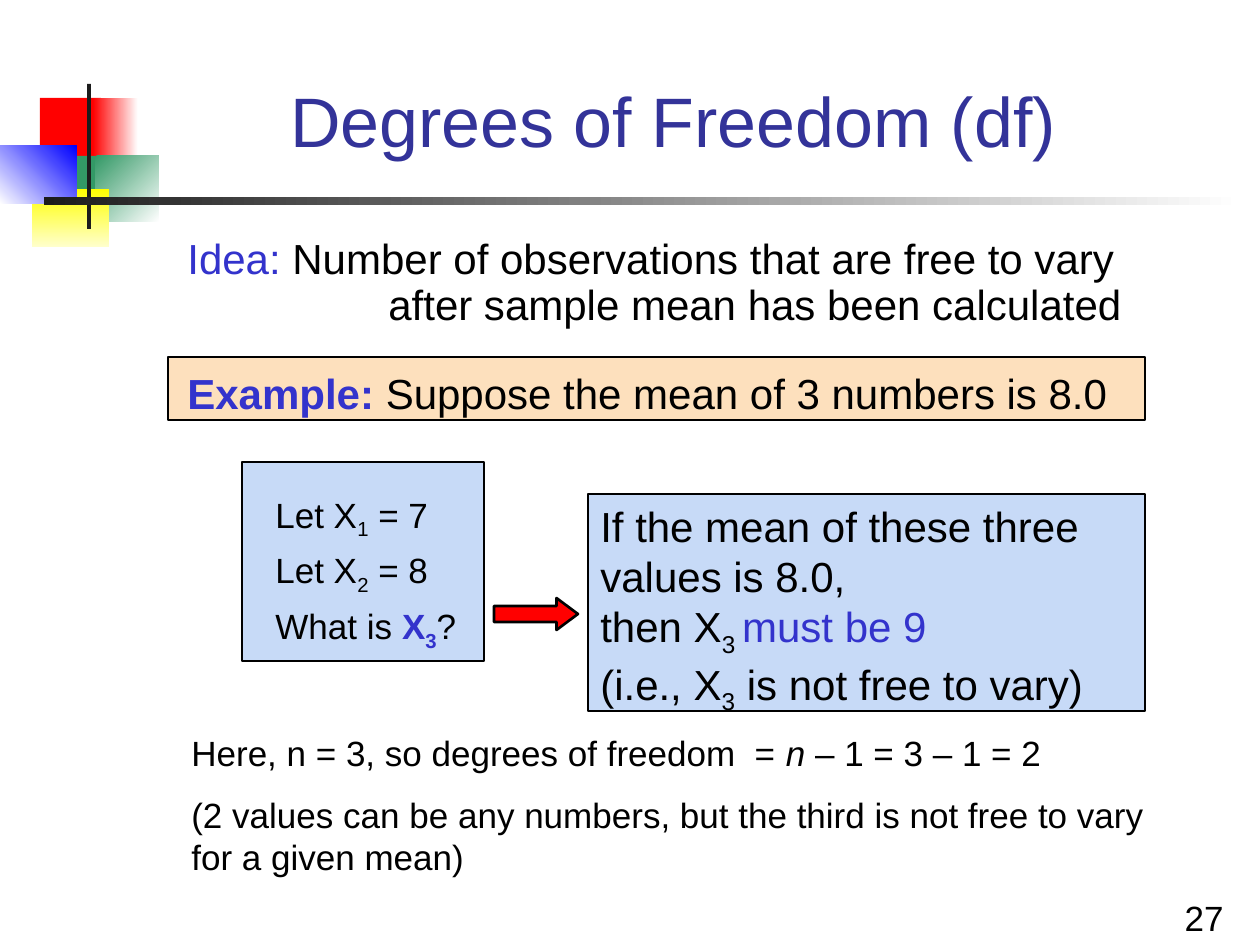
from pptx import Presentation
from pptx import util as u
from pptx.dml.color import RGBColor
from pptx.enum import shapes, text

PX = 914400 / 126
COLORS = {
    "red": "FF0000", "green": "339966", "yellow": "FFFF00", "cream": "FFFFCC",
    "blue": "0000FF", "white": "FFFFFF", "dark": "1C1C1C", "black": "000000",
    "title": "333399", "accent": "3333CC", "panel": "C7DAF7", "peach": "FDE0BD",
}
RGB = {name: RGBColor.from_string(value) for name, value in COLORS.items()}

prs = Presentation()
prs.slide_width, prs.slide_height = round(1260 * PX), round(945 * PX)
s = prs.slides.add_slide(prs.slide_layouts[6])


def add_box(kind, box, fill=None, outlined=False):
    """Add a shape, or a wrapping text box when kind is None."""
    box = [round(v * PX) for v in box]
    if kind is None:
        sp = s.shapes.add_textbox(*box)
    else:
        sp = s.shapes.add_shape(kind, *box)
        sp.shadow.inherit = False
        sp.fill.solid()
        sp.fill.fore_color.rgb = RGB[fill]
        if outlined:
            sp.line.color.rgb = RGB["black"]
            sp.line.width = u.Pt(1.5)
        else:
            sp.line.fill.background()
    sp.text_frame.word_wrap = True
    return sp


def add_text(tf, runs, size, before=0, color="black", align="LEFT", margin=0, spacing=None):
    """Add a paragraph; run marks: c accent colour, b bold, i italic, _ subscript."""
    p = tf.paragraphs[0]
    if p.runs:
        p = tf.add_paragraph()
    p.alignment = text.PP_ALIGN[align]
    p.space_before = u.Pt(before)
    if spacing:
        p.line_spacing = spacing
    if margin:
        pPr = p._p.get_or_add_pPr()
        pPr.set("marL", str(round(margin * PX)))
        pPr.set("indent", "0")
    p.font.name, p.font.size = "Arial", u.Pt(size)
    for content, marks in runs:
        r = p.add_run()
        r.text = content
        r.font.color.rgb = RGB["accent" if "c" in marks else color]
        if "b" in marks:
            r.font.bold = True
        if "i" in marks:
            r.font.italic = True
        if "_" in marks:
            r._r.get_or_add_rPr().set("baseline", "-25000")


RECT = shapes.MSO_SHAPE.RECTANGLE

# Corner ornament and title rule: box, start colour, end colour, clockwise angle
for box, start, end, angle in [
    ((40, 98, 61, 66), "red", None, 0),
    ((93, 98, 45, 66), "red", "white", 0),
    ((95, 156, 64, 66), "green", "white", 45),
    ((54, 156, 41, 66), "green", None, 0),
    ((32, 189, 77, 58), "yellow", "cream", 90),
    ((0, 146, 77, 58), "white", "blue", 315),
    ((87, 84, 4, 145), "dark", None, 0),
    ((44, 197, 1198, 8), "dark", "white", 0),
]:
    sp = add_box(RECT, box, start)
    if end:
        sp.fill.gradient()
        sp.fill.gradient_angle = (360 - angle) % 360
        for stop, name, position in zip(sp.fill.gradient_stops, (start, end), (0, 1)):
            stop.color.rgb = RGB[name]
            stop.position = position

# Title and slide number
for box, content, size, color, align in [
    ((159, 32, 1028, 136), "Degrees of Freedom (df)", 40, "title", "CENTER"),
    ((942, 901, 294, 44), "27", 20, "black", "RIGHT"),
]:
    tf = add_box(None, box).text_frame
    tf.vertical_anchor = text.MSO_ANCHOR.BOTTOM
    add_text(tf, [(content, "")], size, color=color, align=align)

# Conclusion panel
tf = add_box(RECT, (588, 494, 557, 217), "panel", True).text_frame
tf.vertical_anchor = text.MSO_ANCHOR.TOP
for runs in [
    [("If the mean of these three values is 8.0,", "")],
    [("then X", ""), ("3 ", "_"), ("must be 9", "c")],
    [("(i.e., X", ""), ("3", "_"), (" is not free to vary)", "")],
]:
    add_text(tf, runs, 24)

# Panels behind the body text, and the arrow
add_box(RECT, (242, 462, 242, 199), "panel", True)
add_box(RECT, (168, 357, 977, 63), "peach", True)
arrow = add_box(shapes.MSO_SHAPE.RIGHT_ARROW, (494, 598, 84, 32), "red", True)
arrow.adjustments[0], arrow.adjustments[1] = 0.5, 0.67

# Closing note
tf = add_box(None, (179, 725, 1018, 168)).text_frame
add_text(tf, [("Here, n = 3, so degrees of freedom  = ", ""), ("n", "i"),
              (" – 1 = 3 – 1 = 2", "")], 20)
add_text(tf, [("(2 values can be any numbers, but the third is not free to vary "
               "for a given mean)", "")], 20, before=11.5)

# Body text
tf = add_box(None, (116, 226, 1113, 520)).text_frame
add_text(tf, [("Idea:", "c"), (" Number of observations that are free to vary", "")],
         24, margin=59)
add_text(tf, [("after sample mean has been calculated", "")],
         24, before=5.5, margin=260, spacing=0.7)
add_text(tf, [("Example: ", "cb"), ("Suppose the mean of 3 numbers is 8.0", "")],
         24, before=5.5, margin=59, spacing=1.6)
for before, runs in [
    (43, [("Let X", ""), ("1", "_"), (" = 7", "")]),
    (4.6, [("Let X", ""), ("2", "_"), (" = 8", "")]),
    (4.6, [("What is ", ""), ("X", "cb"), ("3", "cb_"), ("?", "")]),
]:
    add_text(tf, runs, 20, before=before, margin=147)

prs.save("out.pptx")
